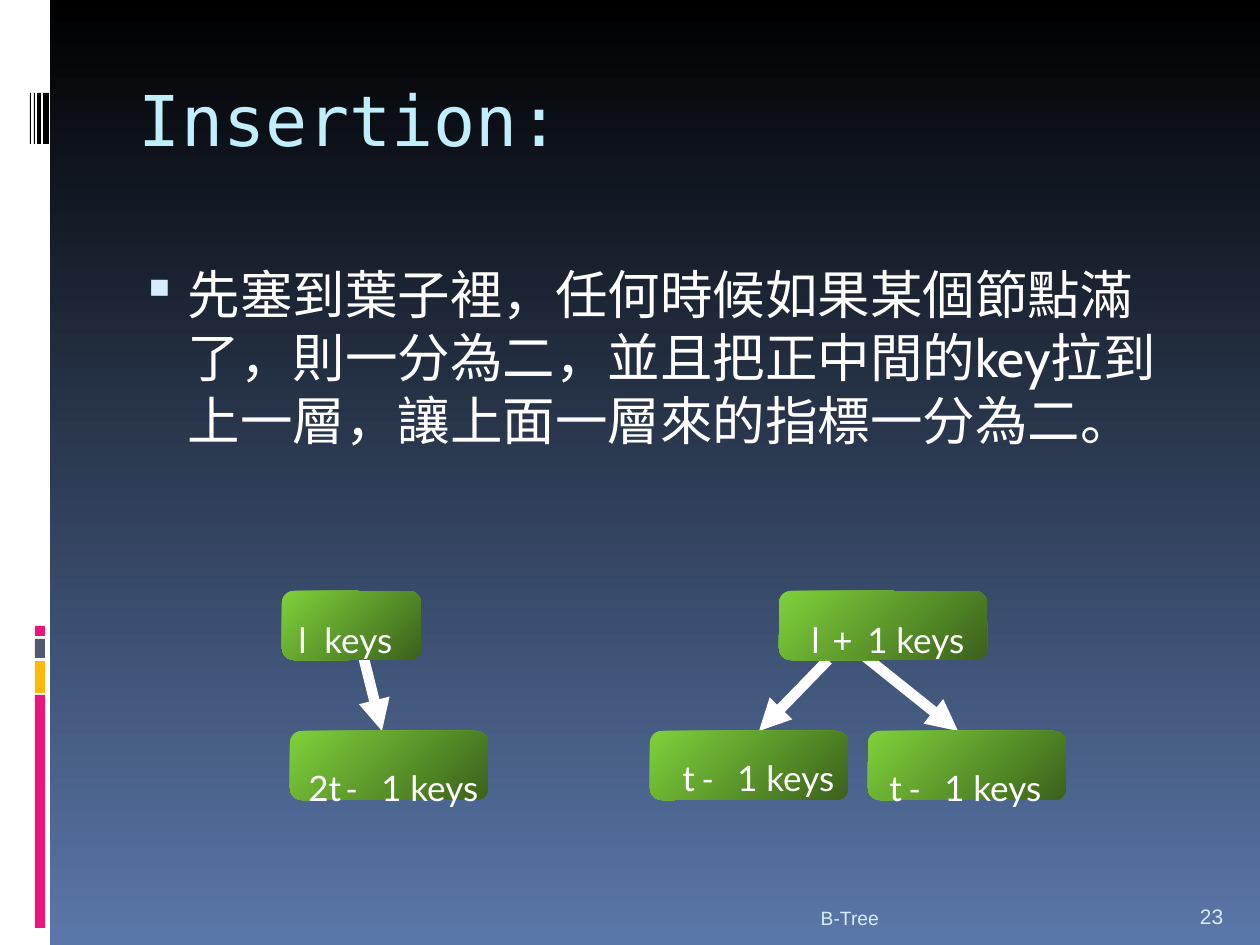
from lxml.etree import SubElement
from pptx import Presentation
from pptx.dml.color import RGBColor
from pptx.enum.shapes import MSO_CONNECTOR, MSO_SHAPE
from pptx.enum.text import MSO_ANCHOR, PP_ALIGN
from pptx.oxml.ns import qn
from pptx.util import Pt

EMU_PER_PX = 914400 / 126
COLORS = {
    "white": "FFFFFF", "black": "000000", "sky": "5A77A9", "pink": "EA157A",
    "amber": "FEB80A", "slate": "4E5B6F", "title": "C1EEFF", "pale": "D6ECFF",
    "leaf": "7FD13B", "forest": "3B611B",
}


def px(length):
    return round(length * EMU_PER_PX)


def rgb(name):
    return RGBColor.from_string(COLORS[name])


def paint_gradient(fill, colors, angle):
    fill.gradient()
    fill.gradient_angle = angle
    for stop, color in zip(fill.gradient_stops, colors):
        stop.color.rgb = rgb(color)


def write_text(holder, text, font="Lato", size=20, color="white",
               align=PP_ALIGN.LEFT, anchor=MSO_ANCHOR.TOP, insets=(13, 6, 13, 6),
               wrap=True, bullet=None, hanging=(0, 0), tabs=(), dash_font=None):
    frame = holder.text_frame
    frame.word_wrap = wrap
    frame.vertical_anchor = anchor
    frame.margin_left, frame.margin_top, frame.margin_right, frame.margin_bottom = map(px, insets)
    paragraph = frame.paragraphs[0]
    paragraph.alignment = align
    properties = paragraph._p.get_or_add_pPr()
    if bullet:
        margin, indent = hanging
        properties.set("marL", str(px(margin)))
        properties.set("indent", str(px(indent)))
        bullet_color = SubElement(properties, qn("a:buClr"))
        SubElement(bullet_color, qn("a:srgbClr"), val=COLORS["pale"])
        SubElement(properties, qn("a:buSzPct"), val="95000")
        SubElement(properties, qn("a:buChar"), char=bullet)
    if tabs:
        stops = SubElement(properties, qn("a:tabLst"))
        for stop in tabs:
            SubElement(stops, qn("a:tab"), pos=str(px(stop)), algn="l")
    before, dash, after = text.partition("-") if dash_font else (text, "", "")
    for part, face in ((before, font), (dash, dash_font), (after, font)):
        if part:
            run = paragraph.add_run()
            run.text = part
            run.font.name = face
            run.font.size = Pt(size)
            run.font.color.rgb = rgb(color)


def add_text(slide, box, text, **text_format):
    write_text(slide.shapes.add_textbox(*map(px, box)), text, **text_format)


def add_bar(slide, box, color):
    bar = slide.shapes.add_shape(MSO_SHAPE.RECTANGLE, *map(px, box))
    bar.shadow.inherit = False
    bar.fill.solid()
    bar.fill.fore_color.rgb = rgb(color)
    bar.line.fill.background()


def add_side_strip(slide, box):
    left, top, width, height = box
    add_bar(slide, box, "white")
    for y, bar_height, color in ((695, 233, "pink"), (661, 32, "amber"),
                                 (639, 19, "slate"), (626, 10, "pink")):
        add_bar(slide, (left + 35, top + y, 10, bar_height), color)
    for x, bar_width in ((43, 6), (37, 4), (34, 1), (30, 1)):
        add_bar(slide, (left + x, top + 93, bar_width, 51), "black")


def add_node(slide, box, label, text_left, text_top, tabs):
    node = slide.shapes.add_shape(MSO_SHAPE.ROUNDED_RECTANGLE, *map(px, box))
    node.shadow.inherit = False
    node.adjustments[0] = 0.17
    paint_gradient(node.fill, ("leaf", "forest"), 315)
    node.line.fill.background()
    write_text(node, label, insets=(text_left, text_top, 0, 0), wrap=False,
               tabs=tabs, dash_font="Calibri")


def add_arrow(slide, start, end):
    arrow = slide.shapes.add_connector(MSO_CONNECTOR.STRAIGHT, *map(px, start + end))
    arrow.line.color.rgb = rgb("white")
    arrow.line.width = Pt(6)
    SubElement(arrow.line._get_or_add_ln(), qn("a:tailEnd"), type="triangle")
    SubElement(arrow._element.spPr, qn("a:effectLst"))


def add_tree(slide, box, arrows, nodes):
    left, top, _, height = box
    node_height = 69
    leaf_top = top + height - node_height
    for start, end in arrows:
        add_arrow(slide, (left + start[0], top + start[1]), (left + end, leaf_top))
    for x, is_leaf, width, *label in nodes:
        node_top = leaf_top if is_leaf else top
        add_node(slide, (left + x, node_top, width, node_height), *label)


def add_insertion_slide(deck):
    slide = deck.slides.add_slide(deck.slide_layouts[5])
    paint_gradient(slide.background.fill, ("black", "sky"), 270)
    add_side_strip(slide, (0, 0, 50, 945))

    title = slide.shapes.title
    title.left, title.top, title.width, title.height = map(px, (126, 71, 1071, 126))
    write_text(title, "Insertion:", font="DejaVu Sans Mono", size=40, color="title")
    add_text(slide, (118, 256, 1071, 280),
             "先塞到葉子裡，任何時候如果某個節點滿了，則一分為二，並且把正中間的key拉到上一層，"
             "讓上面一層來的指標一分為二。",
             font="Cabin", size=30, bullet="▪", hanging=(57, -47))

    add_tree(slide, (282, 591, 208, 209),
             arrows=[((80, 60), 100)],
             nodes=[(0, False, 139, "l\tkeys", 13, 24, (26,)),
                    (8, True, 198, "2t\t-\t1\tkeys", 15, 32, (38, 73, 102))])
    leaf_tabs = (20, 55, 84)
    add_tree(slide, (650, 591, 416, 209),
             arrows=[((208, 60), 308), ((178, 69), 109)],
             nodes=[(129, False, 208, "l\t+\t1\tkeys", 29, 24, (21, 56, 85)),
                    (0, True, 198, "t\t-\t1\tkeys", 29, 22, leaf_tabs),
                    (218, True, 198, "t\t-\t1\tkeys", 18, 32, leaf_tabs)])

    add_text(slide, (126, 885, 766, 50), "B-Tree", font="Arial", size=11,
             color="pale", align=PP_ALIGN.RIGHT, anchor=MSO_ANCHOR.BOTTOM)
    add_text(slide, (1187, 885, 63, 50), "23", font="Arial", size=12,
             color="pale", anchor=MSO_ANCHOR.BOTTOM)


def main():
    deck = Presentation()
    deck.slide_width, deck.slide_height = px(1260), px(945)
    add_insertion_slide(deck)
    deck.save("out.pptx")


if __name__ == "__main__":
    main()
